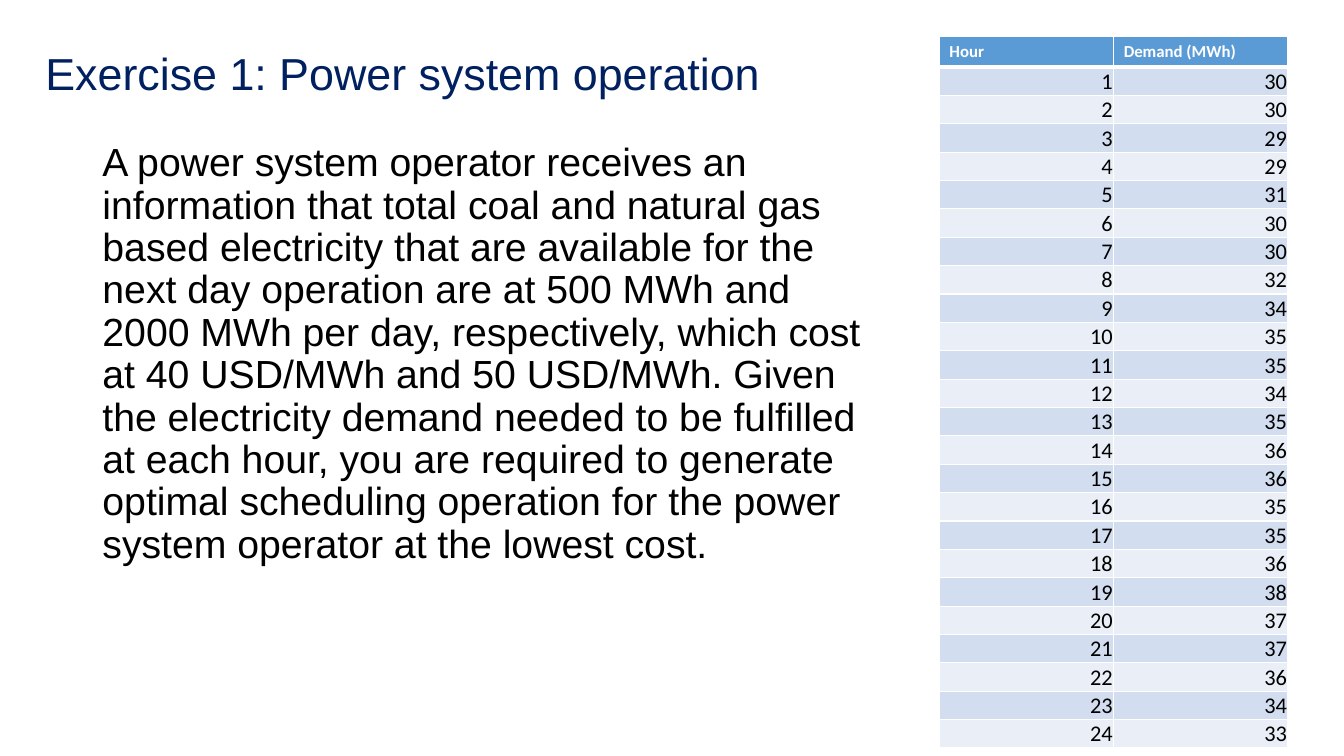
from lxml.etree import SubElement
from pptx import Presentation
from pptx.dml.color import RGBColor
from pptx.enum.text import MSO_ANCHOR, MSO_AUTO_SIZE, PP_ALIGN
from pptx.oxml.ns import qn
from pptx.util import Pt

TITLE = "Exercise 1: Power system operation"
TASK = (
    "A power system operator receives an information that total coal and "
    "natural gas based electricity that are available for the next day "
    "operation are at 500 MWh and 2000 MWh per day, respectively, which cost "
    "at 40 USD/MWh and 50 USD/MWh. Given the electricity demand needed to be "
    "fulfilled at each hour, you are required to generate optimal scheduling "
    "operation for the power system operator at the lowest cost."
)
HEADS = ["Hour", "Demand (MWh)"]
DEMAND = [30, 30, 29, 29, 31, 30, 30, 32, 34, 35, 35, 34,
          35, 36, 36, 35, 35, 36, 38, 37, 37, 36, 34, 33]
BANDS = ["D2DEEF", "EAEFF7"]


def color(code):
    return RGBColor.from_string(code)


def write(frame, text, size=16, font="Calibri", ink="000000", bold=False,
          align=PP_ALIGN.LEFT, lead=None):
    para = frame.paragraphs[0]
    para.alignment = align
    para.space_before = Pt(0)
    if lead:
        para.line_spacing = lead
    run = para.add_run()
    run.text = text
    run.font.size = Pt(size)
    run.font.name = font
    run.font.bold = bold
    run.font.color.rgb = color(ink)


def place(holder, left, top, width, height, anchor):
    holder.left, holder.top = Pt(left), Pt(top)
    holder.width, holder.height = Pt(width), Pt(height)
    frame = holder.text_frame
    frame.word_wrap = True
    frame.auto_size = MSO_AUTO_SIZE.NONE
    frame.vertical_anchor = anchor
    return frame


def no_bullet(para):
    props = para._p.get_or_add_pPr()
    props.set("marL", "0")
    props.set("indent", "0")
    SubElement(props, qn("a:buNone"))


def border(cell, low=1):
    props = cell._tc.get_or_add_tcPr()
    for side, width in (("L", 1), ("R", 1), ("T", 1), ("B", low)):
        line = SubElement(props, qn(f"a:ln{side}"), w=str(Pt(width)))
        fill = SubElement(line, qn("a:solidFill"))
        SubElement(fill, qn("a:srgbClr"), val="FFFFFF")


def paint(cell, code):
    cell.fill.solid()
    cell.fill.fore_color.rgb = color(code)


def add_head(cell, text):
    border(cell, low=3)
    paint(cell, "5B9BD5")
    write(cell.text_frame, text, size=12, ink="FFFFFF", bold=True)


def add_value(cell, value, band):
    border(cell)
    paint(cell, band)
    cell.margin_left = cell.margin_right = cell.margin_top = Pt(0.7)
    cell.margin_bottom = Pt(0)
    cell.vertical_anchor = MSO_ANCHOR.BOTTOM
    write(cell.text_frame, str(value), align=PP_ALIGN.RIGHT)


def add_hours(slide):
    table = slide.shapes.add_table(
        len(DEMAND) + 1, len(HEADS),
        Pt(671), Pt(26), Pt(249), Pt(496.8)).table
    for col, text in enumerate(HEADS):
        add_head(table.cell(0, col), text)
    for hour, load in enumerate(DEMAND, 1):
        band = BANDS[(hour - 1) % 2]
        for col, value in enumerate((hour, load)):
            add_value(table.cell(hour, col), value, band)


def main():
    deck = Presentation()
    deck.slide_width, deck.slide_height = Pt(960), Pt(540)
    slide = deck.slides.add_slide(deck.slide_layouts[1])

    # Task text
    body = place(slide.placeholders[1], 66, 98.6, 572.4, 388, MSO_ANCHOR.TOP)
    no_bullet(body.paragraphs[0])
    write(body, TASK, size=28, font="Arial", lead=0.9)

    # Title
    head = place(slide.shapes.title, 25.2, 2, 828, 104.4, MSO_ANCHOR.MIDDLE)
    write(head, TITLE, size=32, font="Arial", ink="002060", lead=0.9)

    # Hourly demand
    add_hours(slide)

    deck.save("out.pptx")


if __name__ == "__main__":
    main()
